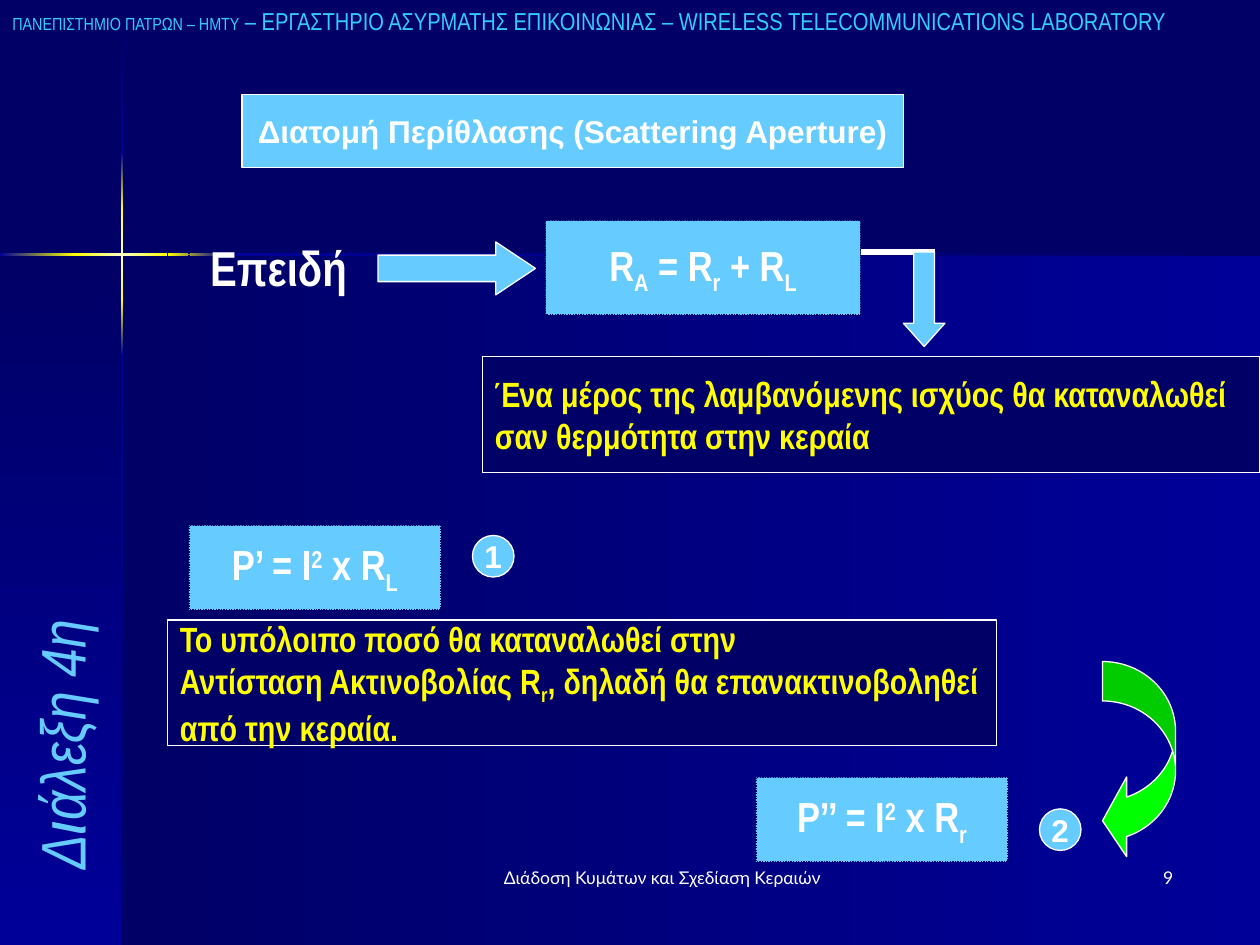
from dataclasses import dataclass, field
from typing import Optional

import lxml.etree
import pptx
import pptx.dml.color
import pptx.enum.dml
import pptx.enum.shapes
import pptx.enum.text
import pptx.oxml.ns
import pptx.util

PX = 9144
COLORS = {
    "navy": "000066", "blue": "000099", "yellow": "FFFF00", "cream": "FFFFCC",
    "sky": "66CCFF", "cyan": "33CCFF", "white": "FFFFFF", "green": "00FF00",
}
FORM = pptx.enum.shapes.MSO_SHAPE
ALIGN = pptx.enum.text.PP_ALIGN
ANCHOR = pptx.enum.text.MSO_ANCHOR
NARROW = "Arial Narrow"
SUB, SUP = -25000, 30000


@dataclass(frozen=True)
class Style:
    size: int
    color: str = "white"
    font: str = NARROW
    bold: bool = False
    italic: bool = False


@dataclass(frozen=True)
class Piece:
    text: str
    baseline: int = 0
    style: Optional[Style] = None


@dataclass(frozen=True)
class Words:
    lines: list[list[Piece]]
    style: Style
    align: ALIGN = ALIGN.CENTER


@dataclass(frozen=True)
class Band:
    box: tuple[int, int, int, int]
    stops: list[str]
    vertical: bool = False


@dataclass(frozen=True)
class Block:
    box: tuple[int, int, int, int]
    form: FORM = FORM.RECTANGLE
    fill: Optional[str] = "sky"
    dotted: bool = False
    words: Optional[Words] = None
    adjust: list[float] = field(default_factory=list)


@dataclass(frozen=True)
class Caption:
    box: tuple[int, int, int, int]
    words: Words
    anchor: ANCHOR = ANCHOR.TOP
    rotation: int = 0
    space_before: float = 0


def rgb(name: str) -> pptx.dml.color.RGBColor:
    return pptx.dml.color.RGBColor.from_string(COLORS[name])


def emu(box: tuple[int, ...]) -> list[int]:
    return [value * PX for value in box]


def write(frame, words: Words, wrap: bool, anchor: ANCHOR, space_before: float = 0) -> None:
    frame.word_wrap = wrap
    frame.vertical_anchor = anchor
    for number, line in enumerate(words.lines):
        paragraph = frame.add_paragraph() if number else frame.paragraphs[0]
        paragraph.alignment = words.align
        paragraph.space_before = pptx.util.Pt(space_before)
        for piece in line:
            style = piece.style or words.style
            run = paragraph.add_run()
            run.text = piece.text
            run.font.name = style.font
            run.font.size = pptx.util.Pt(style.size)
            run.font.bold = style.bold
            run.font.italic = style.italic
            run.font.color.rgb = rgb(style.color)
            if piece.baseline:
                run._r.get_or_add_rPr().set("baseline", str(piece.baseline))


def draw_band(slide, band: Band) -> None:
    strip = slide.shapes.add_shape(FORM.RECTANGLE, *emu(band.box))
    strip.shadow.inherit = False
    strip.line.fill.background()
    strip.fill.gradient()
    strip.fill.gradient_angle = 270 if band.vertical else 0
    qn = pptx.oxml.ns.qn
    stop_list = strip._element.spPr.find(".//" + qn("a:gsLst"))
    for old in list(stop_list):
        stop_list.remove(old)
    for number, name in enumerate(band.stops):
        position = number * 100000 // (len(band.stops) - 1)
        stop = lxml.etree.SubElement(stop_list, qn("a:gs"), pos=str(position))
        lxml.etree.SubElement(stop, qn("a:srgbClr"), val=COLORS[name])


def draw_block(slide, block: Block) -> None:
    shape = slide.shapes.add_shape(block.form, *emu(block.box))
    shape.shadow.inherit = False
    for number, value in enumerate(block.adjust):
        shape.adjustments[number] = value
    if block.fill:
        shape.fill.solid()
        shape.fill.fore_color.rgb = rgb(block.fill)
    else:
        shape.fill.background()
    shape.line.width = pptx.util.Pt(0.75)
    shape.line.color.rgb = rgb("navy" if block.dotted else "white")
    if block.dotted:
        shape.line.dash_style = pptx.enum.dml.MSO_LINE.ROUND_DOT
    if block.words:
        write(shape.text_frame, block.words, False, ANCHOR.MIDDLE)


def draw_caption(slide, caption: Caption) -> None:
    label = slide.shapes.add_textbox(*emu(caption.box))
    label.rotation = caption.rotation
    write(label.text_frame, caption.words, True, caption.anchor, caption.space_before)


def draw_link(slide, start: tuple[int, int], end: tuple[int, int]) -> None:
    link = slide.shapes.add_connector(
        pptx.enum.shapes.MSO_CONNECTOR.STRAIGHT, *emu(start + end))
    link.line.color.rgb = rgb("white")
    link.line.width = pptx.util.Pt(3)
    lxml.etree.SubElement(link._element.spPr, pptx.oxml.ns.qn("a:effectLst"))


TITLE = Style(18, font="Arial", bold=True)
FORMULA = Style(24, bold=True)
REMARK = Style(20, "yellow", bold=True)
FOOTER = Style(10, font="Lato")
GLOW = ["yellow", "cream", "yellow"]

BANDS = [
    Band((97, 202, 903, 548), ["navy", "blue"]),
    Band((0, 202, 97, 548), ["navy", "blue"], True),
    Band((96, 1, 2, 120), ["navy", "blue"], True),
    Band((96, 121, 2, 44), ["blue", "yellow"], True),
    Band((96, 165, 2, 73), GLOW, True),
    Band((96, 238, 2, 44), ["yellow", "blue"], True),
    Band((96, 282, 2, 468), ["blue", "navy"], True),
    Band((0, 201, 60, 2), ["blue", "yellow"]),
    Band((60, 201, 73, 2), GLOW),
    Band((133, 201, 44, 2), ["yellow", "blue"]),
    Band((177, 201, 823, 2), ["blue", "navy"]),
]


def power(name: str, load: str) -> Words:
    return Words([[Piece(f"{name} = I"), Piece("2", SUP), Piece(" x R"), Piece(load, SUB)]], FORMULA)


def badge(left: int, top: int, number: str) -> Block:
    return Block((left, top, 33, 33), FORM.OVAL, words=Words([[Piece(number)]], TITLE))


resistance = Words([[Piece("R"), Piece("A", SUB), Piece(" = R"), Piece("r", SUB),
                     Piece(" + R"), Piece("L", SUB)]], FORMULA)
heat_loss = Words([[Piece("Ένα μέρος της λαμβανόμενης ισχύος θα καταναλωθεί")],
                   [Piece("σαν θερμότητα στην κεραία")]], REMARK, ALIGN.LEFT)
reradiation = Words([[Piece("Το υπόλοιπο ποσό θα καταναλωθεί στην")],
                     [Piece("Αντίσταση Ακτινοβολίας R"), Piece("r", SUB),
                      Piece(", δηλαδή θα επανακτινοβοληθεί")],
                     [Piece("από την κεραία.")]], REMARK, ALIGN.JUSTIFY)

BLOCKS = [
    Block((192, 75, 525, 58),
          words=Words([[Piece("Διατομή Περίθλασης (Scattering Aperture)")]], TITLE)),
    Block((150, 183, 142, 58), fill=None, dotted=True,
          words=Words([[Piece("Επειδή")]], Style(28, bold=True))),
    Block((433, 175, 250, 75), dotted=True, words=resistance),
    Block((300, 192, 125, 42), FORM.RIGHT_ARROW, adjust=[0.5, 0.75]),
    Block((383, 283, 617, 92), fill="navy", words=heat_loss),
    Block((717, 200, 33, 75), FORM.DOWN_ARROW, adjust=[0.5, 0.56]),
    Block((150, 417, 200, 67), dotted=True, words=power("P’", "L")),
    badge(375, 425, "1"),
    Block((133, 492, 658, 100), fill="navy", words=reradiation),
    Block((600, 617, 200, 67), dotted=True, words=power("P’’", "r")),
    badge(825, 642, "2"),
    Block((875, 525, 58, 158), FORM.CURVED_LEFT_ARROW, "green", adjust=[0.54, 1.09, 0.33]),
]

CAPTIONS = [
    Caption((0, 0, 1117, 33), Words([[
        Piece("ΠΑΝΕΠΙΣΤΗΜΙΟ ΠΑΤΡΩΝ – ΗΜΤΥ", style=Style(10, "cyan")),
        Piece(" – ΕΡΓΑΣΤΗΡΙΟ ΑΣΥΡΜΑΤΗΣ ΕΠΙΚΟΙΝΩΝΙΑΣ – WIRELESS TELECOMMUNICATIONS LABORATORY"),
    ]], Style(14, "cyan"), ALIGN.LEFT), space_before=3.5),
    Caption((-142, 475, 383, 67), Words([[Piece("Διάλεξη 4η")]],
            Style(36, "sky", italic=True), ALIGN.LEFT), ANCHOR.BOTTOM, 270),
    Caption((367, 683, 317, 50), Words([[Piece("Διάδοση Κυμάτων και Σχεδίαση Κεραιών")]], FOOTER)),
    Caption((733, 683, 208, 50), Words([[Piece("9")]], FOOTER, ALIGN.RIGHT)),
]


def main() -> None:
    deck = pptx.Presentation()
    deck.slide_width, deck.slide_height = emu((1000, 750))
    slide = deck.slides.add_slide(deck.slide_layouts[6])
    slide.background.fill.solid()
    slide.background.fill.fore_color.rgb = rgb("navy")
    for band in BANDS:
        draw_band(slide, band)
    draw_link(slide, (683, 200), (742, 200))
    for block in BLOCKS:
        draw_block(slide, block)
    for caption in CAPTIONS:
        draw_caption(slide, caption)
    deck.save("out.pptx")


if __name__ == "__main__":
    main()
